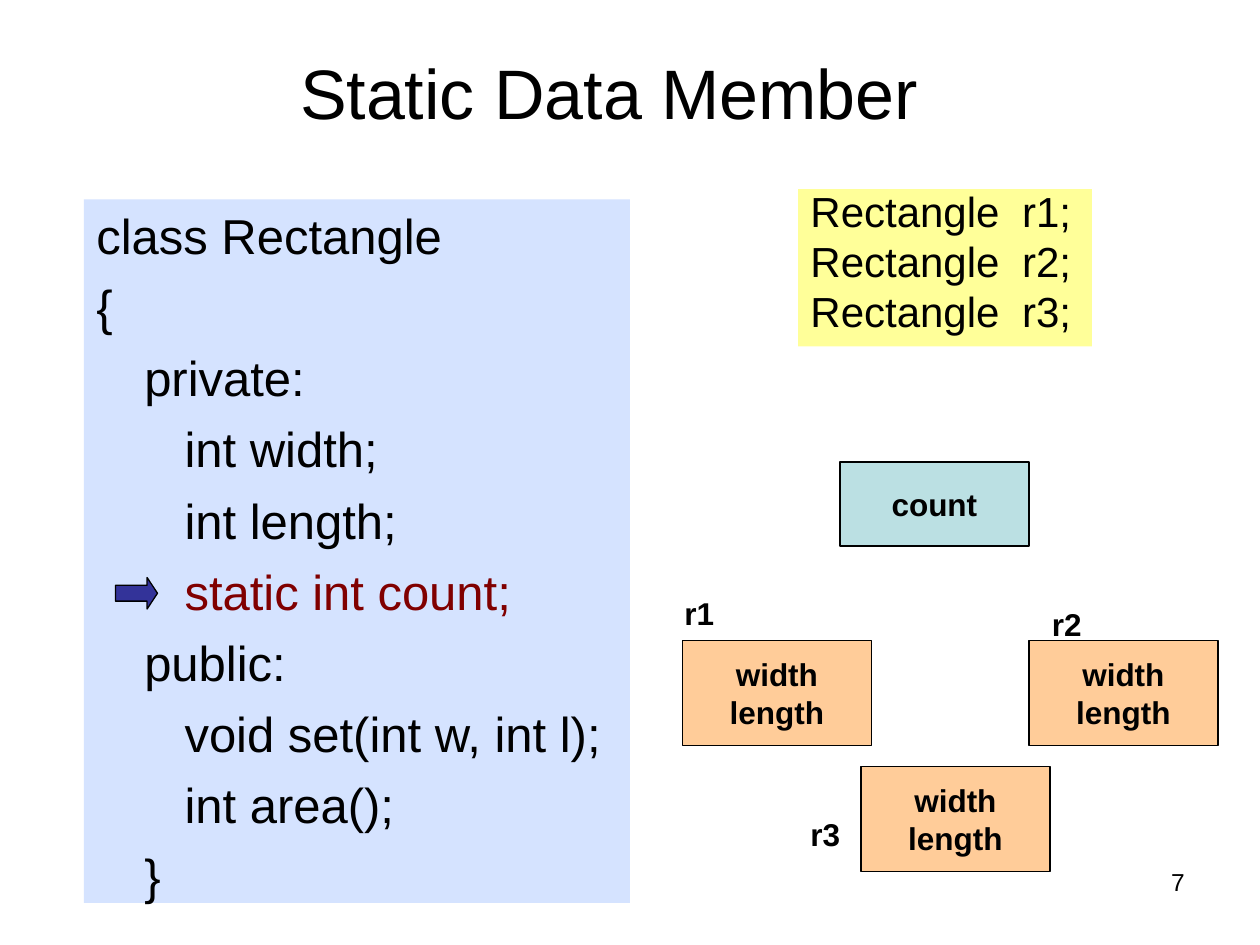
from dataclasses import dataclass, field

from lxml import etree
from pptx import Presentation
from pptx.dml.color import RGBColor
from pptx.enum.shapes import MSO_SHAPE
from pptx.enum.text import MSO_ANCHOR, PP_ALIGN
from pptx.oxml.ns import qn
from pptx.util import Inches, Pt

RECTANGLE, RIGHT_ARROW = MSO_SHAPE.RECTANGLE, MSO_SHAPE.RIGHT_ARROW
LEFT, CENTER, RIGHT = PP_ALIGN.LEFT, PP_ALIGN.CENTER, PP_ALIGN.RIGHT
TOP, MIDDLE = MSO_ANCHOR.TOP, MSO_ANCHOR.MIDDLE

# The grid: 120 columns by 90 rows, twelve to the inch
SLIDE_WIDTH, SLIDE_HEIGHT = Inches(10), Inches(7.5)
COLUMN, ROW = SLIDE_WIDTH / 120, SLIDE_HEIGHT / 90


@dataclass(frozen=True)
class Theme:
    font: str = "Arial"
    text: str = "000000"
    highlight: str = "800000"
    code_fill: str = "D5E3FF"
    usage_fill: str = "FFFF99"
    object_fill: str = "FFCC99"
    static_fill: str = "BBE0E3"
    arrow_fill: str = "333399"
    title_size: int = 40
    code_size: int = 28
    usage_size: int = 24
    label_size: int = 18
    number_size: int = 14
    line_width: float = 0.75


THEME = Theme()


@dataclass(frozen=True)
class Area:
    column: float
    row: float
    columns: float
    rows: float

    def lengths(self) -> list[int]:
        return [round(self.column * COLUMN), round(self.row * ROW),
                round(self.columns * COLUMN), round(self.rows * ROW)]


@dataclass(frozen=True)
class Line:
    text: str
    level: int = 0
    color: str = THEME.text


@dataclass(frozen=True)
class TextStyle:
    size: int
    bold: bool = False
    wrap: bool = True
    anchor: MSO_ANCHOR = TOP
    paragraph: dict = field(default_factory=dict)
    indents: tuple[float, ...] = (0,)
    tab_stop: float = 0


TITLE = TextStyle(THEME.title_size, anchor=MIDDLE, paragraph={"alignment": CENTER})
NUMBER = TextStyle(THEME.number_size, paragraph={"alignment": RIGHT})
CODE = TextStyle(THEME.code_size, indents=(0, 0.38, 0.7),
                 paragraph={"alignment": LEFT, "space_before": Pt(7)})
USAGE = TextStyle(THEME.usage_size, tab_stop=1.68,
                  paragraph={"alignment": LEFT, "space_before": Pt(5.6),
                             "line_spacing": 0.8})
LABEL = TextStyle(THEME.label_size, bold=True, wrap=False,
                  paragraph={"alignment": LEFT})
MEMBER = TextStyle(THEME.label_size, bold=True, wrap=False, anchor=MIDDLE,
                   paragraph={"alignment": CENTER})


@dataclass(frozen=True)
class Instance:
    name: str
    box_at: tuple[int, int]
    label_at: tuple[int, int]


CODE_LINES = [
    Line("class Rectangle"),
    Line("{"),
    Line("private:", 1),
    Line("int width;", 2),
    Line("int length;", 2),
    Line("static int count;", 2, THEME.highlight),
    Line("public:", 1),
    Line("void set(int w, int l);", 2),
    Line("int area();", 2),
    Line("}", 1),
]
INSTANCES = [
    Instance("r1", (65, 61), (64, 56)),
    Instance("r2", (98, 61), (99, 57)),
    Instance("r3", (82, 73), (76, 77)),
]


def set_values(target, values: dict) -> None:
    for name, value in values.items():
        setattr(target, name, value)


def write(shape, lines: list[Line], style: TextStyle) -> None:
    frame = shape.text_frame
    set_values(frame, {"word_wrap": style.wrap, "vertical_anchor": style.anchor})
    for index, line in enumerate(lines):
        paragraph = frame.add_paragraph() if index else frame.paragraphs[0]
        set_values(paragraph, style.paragraph)
        properties = paragraph._p.get_or_add_pPr()
        indent = style.indents[line.level]
        if indent:
            properties.set("marL", str(Inches(indent)))
        if style.tab_stop:
            tabs = etree.SubElement(properties, qn("a:tabLst"))
            etree.SubElement(tabs, qn("a:tab"),
                             pos=str(Inches(style.tab_stop)), algn="l")
        run = paragraph.add_run()
        run.text = line.text
        set_values(run.font, {"name": THEME.font, "size": Pt(style.size),
                              "bold": style.bold})
        run.font.color.rgb = RGBColor.from_string(line.color)


def add_text(slide, area: Area, text: str, style: TextStyle) -> None:
    write(slide.shapes.add_textbox(*area.lengths()), [Line(text)], style)


def add_panel(slide, area: Area, fill: str, outlined: bool = False,
              kind: MSO_SHAPE = RECTANGLE):
    shape = slide.shapes.add_shape(kind, *area.lengths())
    shape.shadow.inherit = False
    shape.fill.solid()
    shape.fill.fore_color.rgb = RGBColor.from_string(fill)
    if outlined:
        shape.line.color.rgb = RGBColor.from_string(THEME.text)
        shape.line.width = Pt(THEME.line_width)
    else:
        shape.line.fill.background()
    return shape


def add_instance(slide, instance: Instance) -> None:
    box = add_panel(slide, Area(*instance.box_at, 18, 10), THEME.object_fill, True)
    write(box, [Line("width"), Line("length")], MEMBER)
    add_text(slide, Area(*instance.label_at, 5.3, 4.8), instance.name, LABEL)


def main() -> None:
    presentation = Presentation()
    presentation.slide_width, presentation.slide_height = SLIDE_WIDTH, SLIDE_HEIGHT
    slide = presentation.slides.add_slide(presentation.slide_layouts[6])

    # Title and page number
    add_text(slide, Area(4, 4.5, 108, 8.4), "Static Data Member", TITLE)
    add_text(slide, Area(86, 82, 28, 6.2), "7", NUMBER)

    # Class definition, with an arrow at the static member
    write(add_panel(slide, Area(8, 19, 52, 67), THEME.code_fill), CODE_LINES, CODE)
    arrow = add_panel(slide, Area(11, 55, 4, 3), THEME.arrow_fill, True, RIGHT_ARROW)
    arrow.adjustments[1] = 0.33

    # Declarations of the three objects
    declarations = [Line(f"Rectangle\t{instance.name};") for instance in INSTANCES]
    write(add_panel(slide, Area(76, 18, 28, 15), THEME.usage_fill),
          declarations, USAGE)

    # Shared member and the objects in memory
    count = add_panel(slide, Area(80, 44, 18, 8), THEME.static_fill, True)
    write(count, [Line("count")], MEMBER)
    for instance in INSTANCES:
        add_instance(slide, instance)

    presentation.save("out.pptx")


if __name__ == "__main__":
    main()
